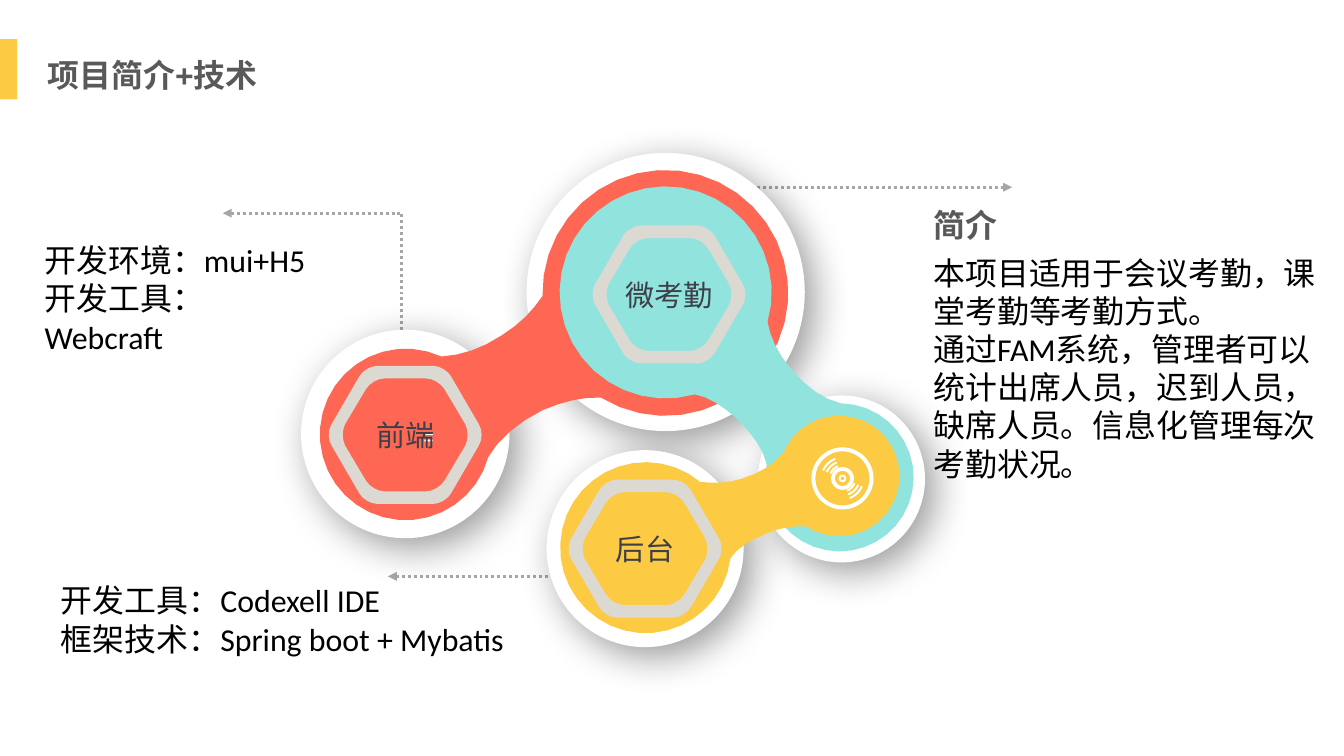
import math
from dataclasses import dataclass

import pptx
import pptx.dml.color
import pptx.enum.dml
import pptx.enum.shapes
import pptx.enum.text
import pptx.oxml
import pptx.oxml.ns
import pptx.util

Pt = pptx.util.Pt
Preset = pptx.enum.shapes.MSO_SHAPE
Anchor = pptx.enum.text.MSO_ANCHOR
Align = pptx.enum.text.PP_ALIGN
Point = tuple[float, float]

CORAL, TEAL, AMBER, WHITE = "FD6753", "91E3DE", "FCCB43", "FFFFFF"
STONE, INK, HEADING, DOTS, BLACK = "DCD9D2", "3D4048", "595959", "A6A6A6", "000000"


@dataclass(frozen=True)
class Circle:
    x: float
    y: float
    r: float

    def at(self, angle: float) -> Point:
        return self.x + self.r * math.cos(angle), self.y + self.r * math.sin(angle)

    def arc(self, first: float, last: float) -> list[Point]:
        steps = max(3, math.ceil(abs(last - first) / math.radians(10)))
        return [self.at(first + (last - first) * i / steps) for i in range(steps + 1)]

    def clockwise(self, start: Point, end: Point) -> list[Point]:
        first, last = (math.atan2(y - self.y, x - self.x) for x, y in (start, end))
        return self.arc(first, first + (last - first) % math.tau)


@dataclass(frozen=True)
class Link:
    """Two discs joined by curved sides; each side is two Bezier curves."""
    color: str
    hub: Circle
    node: Circle
    outward: list[Point]
    back: list[Point]


@dataclass(frozen=True)
class Arrow:
    tip: Point
    end: Point


@dataclass(frozen=True)
class Style:
    font: str
    size: float
    color: str
    bold: bool = False
    spacing: float = 1.0
    align: Align = Align.LEFT


@dataclass(frozen=True)
class Note:
    box: tuple[float, float, float, float]
    paragraphs: list[list[str]]
    style: Style


TITLE = Style("Arial", 24, HEADING, bold=True, spacing=1.3)
BODY = Style("Calibri", 24, BLACK)
LABEL = Style("Calibri", 22, INK, align=Align.CENTER)

ARROWS = [
    Arrow((292.3, 434.2), (448.6, 434.2)),
    Arrow((762.5, 141.1), (560.2, 141.1)),
    Arrow((167.8, 160.6), (303.1, 160.6)),
    Arrow((302.4, 272.9), (302.4, 160.6)),
]
HALOS = [Circle(305.3, 326.9, 78.5), Circle(634, 360.8, 62.9),
         Circle(501.5, 220, 104.8), Circle(486, 413.3, 74.2)]
LINKS = [
    Link(CORAL, Circle(501.3, 220.7, 92.6), Circle(305.6, 327.3, 64.6),
         [(452.9, 299.5), (439.9, 298.8), (424.1, 302.4), (409, 308.9),
          (390.2, 318.2), (375.1, 331.2), (367.9, 344.2)],
         [(332.6, 268.6), (347, 267.8), (362.9, 262.8), (378, 252.7),
          (391.7, 244.1), (401.8, 234), (408.2, 223.2)]),
    Link(TEAL, Circle(501.5, 220.3, 79.9), Circle(632.5, 359.6, 55.8),
         [(578.2, 242.6), (580.3, 254.2), (586.1, 266.4), (595.4, 277.2),
          (607, 291.6), (620.6, 301), (633.6, 303.8)],
         [(578.2, 349.9), (574.6, 338.4), (566.6, 326.2), (555.1, 315.4),
          (545, 306), (534.2, 299.5), (523.4, 296.6)]),
    Link(AMBER, Circle(486.4, 412.6, 64.4), Circle(632.2, 358.6, 45.4),
         [(527.8, 362.9), (536.4, 364.3), (547.2, 364.3), (558.7, 360.7),
          (573.1, 356.4), (583.9, 349.2), (590.4, 340.6)],
         [(607, 396.7), (597.6, 396), (586.1, 397.4), (574.6, 403.2),
          (564.5, 407.5), (555.8, 412.6), (550.1, 420.5)]),
]
BADGES = [("微考勤", 504, 221.8), ("前端", 305.3, 327.6), ("后台", 486, 413.3)]
NOTES = [
    Note((696.2, 142.6, 80, 45.4), [["简介"]], TITLE),
    Note((696.2, 187.2, 308.9, 199.4),
         [["本项目适用于会议考勤，课堂考勤等考勤方式。"],
          ["通过FAM系统，管理者可以统计出席人员，迟到人员，缺席人员。信息化管理每次考勤状况。"]], BODY),
    Note((26.6, 177.8, 221, 65.5), [["开发环境：mui+H5", "开发工具：Webcraft"]], BODY),
    Note((38.9, 434.2, 393.1, 65.5),
         [["开发工具：Codexell IDE", "框架技术：Spring boot + Mybatis"]], BODY),
]


def rgb(color: str) -> pptx.dml.color.RGBColor:
    return pptx.dml.color.RGBColor.from_string(color)


def paint(shape, color: str):
    shape.shadow.inherit = False
    shape.fill.solid()
    shape.fill.fore_color.rgb = rgb(color)
    shape.line.fill.background()
    return shape


def add_preset(shapes, preset: Preset, box: tuple, color: str):
    return paint(shapes.add_shape(preset, *map(Pt, box)), color)


def add_disc(shapes, preset: Preset, disc: Circle, color: str):
    box = (disc.x - disc.r, disc.y - disc.r, 2 * disc.r, 2 * disc.r)
    return add_preset(shapes, preset, box, color)


def add_outline(shapes, contours: list[list[Point]], color: str):
    paths = [[(Pt(x), Pt(y)) for x, y in contour] for contour in contours]
    builder = shapes.build_freeform(*paths[0][0])
    builder.add_line_segments(paths[0][1:], close=True)
    for contour in paths[1:]:
        builder.move_to(*contour[0])
        builder.add_line_segments(contour[1:], close=True)
    return paint(builder.convert_to_shape(), color)


def bezier(a: Point, b: Point, c: Point, d: Point, steps: int = 4) -> list[Point]:
    def blend(t: float, axis: int) -> float:
        u = 1 - t
        return (u**3 * a[axis] + 3 * u * u * t * b[axis]
                + 3 * u * t * t * c[axis] + t**3 * d[axis])
    return [(blend(i / steps, 0), blend(i / steps, 1)) for i in range(steps + 1)]


def side(points: list[Point]) -> list[Point]:
    """Inner points of a side, whose ends belong to the arcs."""
    return (bezier(*points[:4]) + bezier(*points[3:])[1:])[1:-1]


def hexagon(x: float, y: float, corner: list[Point], edge: float, bulge: float) -> list[Point]:
    upper = bezier(*corner)
    nose = bezier((edge, -8), (bulge, -3.6), (bulge, 3.6), (edge, 8))
    half = upper + nose + [(px, -py) for px, py in reversed(upper)]
    return [(x + sign * px, y + sign * py) for sign in (1, -1) for px, py in half]


def write(frame, paragraphs: list[list[str]], style: Style, anchor: Anchor = Anchor.TOP) -> None:
    frame.word_wrap = True
    frame.auto_size = pptx.enum.text.MSO_AUTO_SIZE.NONE
    frame.vertical_anchor = anchor
    for index, lines in enumerate(paragraphs):
        paragraph = frame.add_paragraph() if index else frame.paragraphs[0]
        paragraph.alignment = style.align
        paragraph.line_spacing = style.spacing
        paragraph.space_before = Pt(0)
        for number, line in enumerate(lines):
            if number:
                paragraph.add_line_break()
            run = paragraph.add_run()
            run.text = line
            run.font.name, run.font.size = style.font, Pt(style.size)
            run.font.bold, run.font.color.rgb = style.bold, rgb(style.color)


def add_xml(parent, xml: str) -> None:
    parent.append(pptx.oxml.parse_xml(xml.format(pptx.oxml.ns.nsdecls("a"))))


def add_arrow(shapes, arrow: Arrow) -> None:
    straight = pptx.enum.shapes.MSO_CONNECTOR.STRAIGHT
    leader = shapes.add_connector(straight, *map(Pt, arrow.tip + arrow.end))
    leader.line.color.rgb = rgb(DOTS)
    leader.line.width = Pt(2.25)
    leader.line.dash_style = pptx.enum.dml.MSO_LINE.ROUND_DOT
    outline = leader._element.spPr.find(pptx.oxml.ns.qn("a:ln"))
    add_xml(outline, '<a:headEnd {} type="triangle"/>')
    add_xml(leader._element.spPr, "<a:effectLst {}/>")


def cast_shadow(shape) -> None:
    effects = shape._element.spPr.find(pptx.oxml.ns.qn("a:effectLst"))
    add_xml(effects, f'<a:outerShdw {{}} blurRad="{Pt(30)}" dist="{Pt(10)}" dir="2700000" '
                     'algn="tl" rotWithShape="0"><a:srgbClr val="000000">'
                     '<a:alpha val="40000"/></a:srgbClr></a:outerShdw>')


deck = pptx.Presentation()
deck.slide_width, deck.slide_height = Pt(1012.5), Pt(569.5)
slide = deck.slides.add_slide(deck.slide_layouts[5])
shapes = slide.shapes

# Title and accent
title = shapes.title
title.left, title.top, title.width, title.height = map(Pt, (28.8, 29.5, 174.2, 41))
write(title.text_frame, [["项目简介+技术"]], TITLE)
add_preset(shapes, Preset.RECTANGLE, (0, 29.5, 13, 45.4), AMBER)

# Leader arrows, halos and linked discs
for arrow in ARROWS:
    add_arrow(shapes, arrow)
for halo in HALOS:
    cast_shadow(add_disc(shapes, Preset.OVAL, halo, WHITE))
for link in LINKS:
    outline = (link.hub.clockwise(link.back[-1], link.outward[0]) + side(link.outward)
               + link.node.clockwise(link.outward[-1], link.back[0]) + side(link.back))
    add_outline(shapes, [outline], link.color)

# Record icon: rings and grooves
ICON_X, ICON_Y = 634.7, 360.4
for radius, thickness in ((23.4, 3), (8.6, 2.8), (2.9, 1.5)):
    ring = add_disc(shapes, Preset.DONUT, Circle(ICON_X, ICON_Y, radius), WHITE)
    ring.adjustments[0] = thickness / (2 * radius)
for start in (22, 202):
    first, last = math.radians(start), math.radians(start + 48)
    for radius in (9, 12, 15):
        inner, outer = (Circle(ICON_X, ICON_Y, r) for r in (radius, radius + 1.5))
        add_outline(shapes, [inner.arc(first, last) + outer.arc(last, first)], WHITE)

# Dashes on the front-end disc
for top in (326.2, 331.2):
    add_preset(shapes, Preset.ROUNDED_RECTANGLE, (319.7, top, 6.5, 1.4), WHITE)

# Hexagon badges
for label, x, y in BADGES:
    rim = hexagon(x, y, [(21, -52), (26, -52), (32.3, -48.3), (34.6, -44)], 55.5, 58.3)
    hole = hexagon(x, y, [(15.8, -42.5), (21, -42.5), (26.7, -38.9), (29.5, -34.6)], 45.3, 47.6)
    badge = add_outline(shapes, [rim, hole[::-1]], STONE)
    write(badge.text_frame, [[label]], LABEL, Anchor.MIDDLE)

# Notes
for note in NOTES:
    write(shapes.add_textbox(*map(Pt, note.box)).text_frame, note.paragraphs, note.style)

deck.save("out.pptx")
